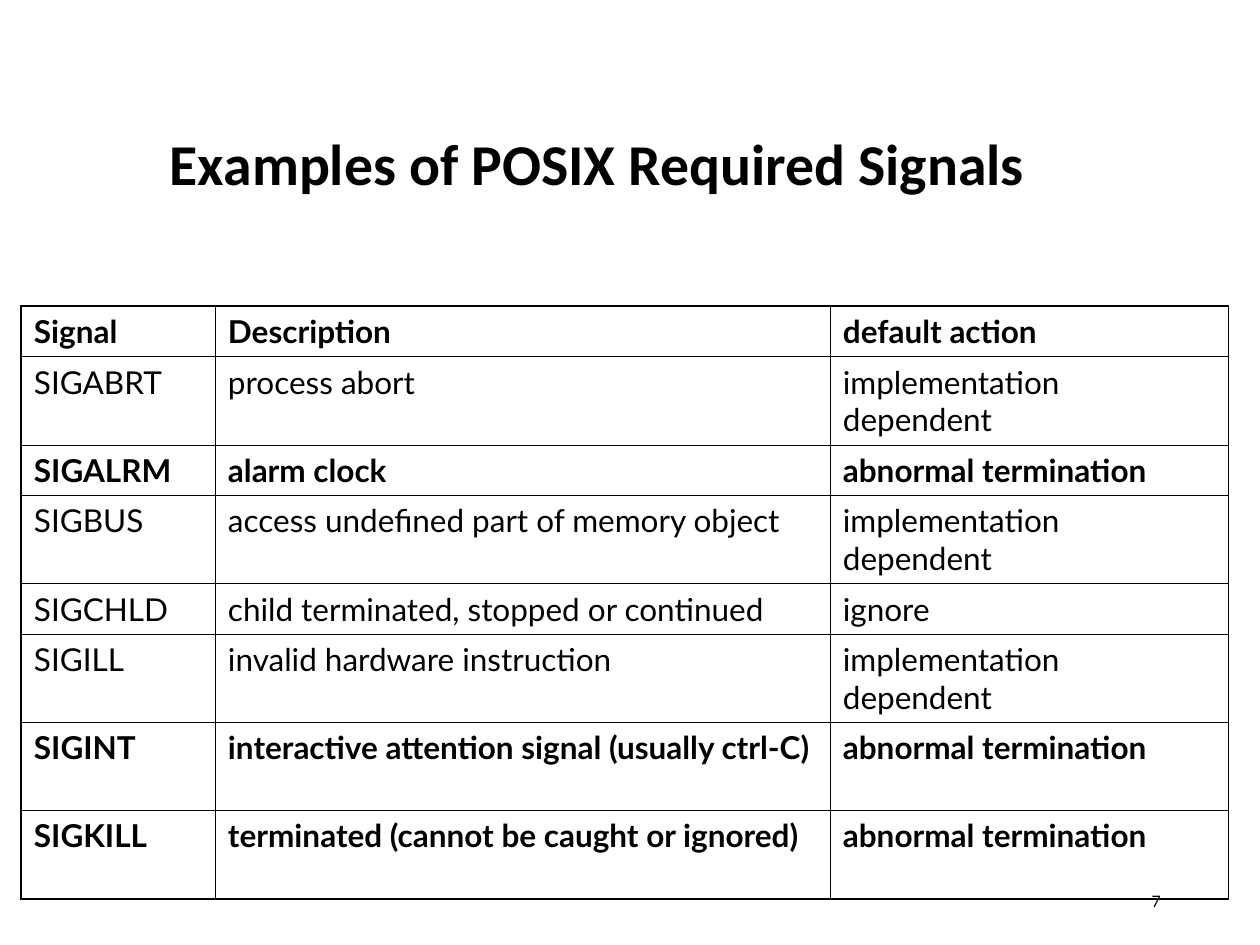
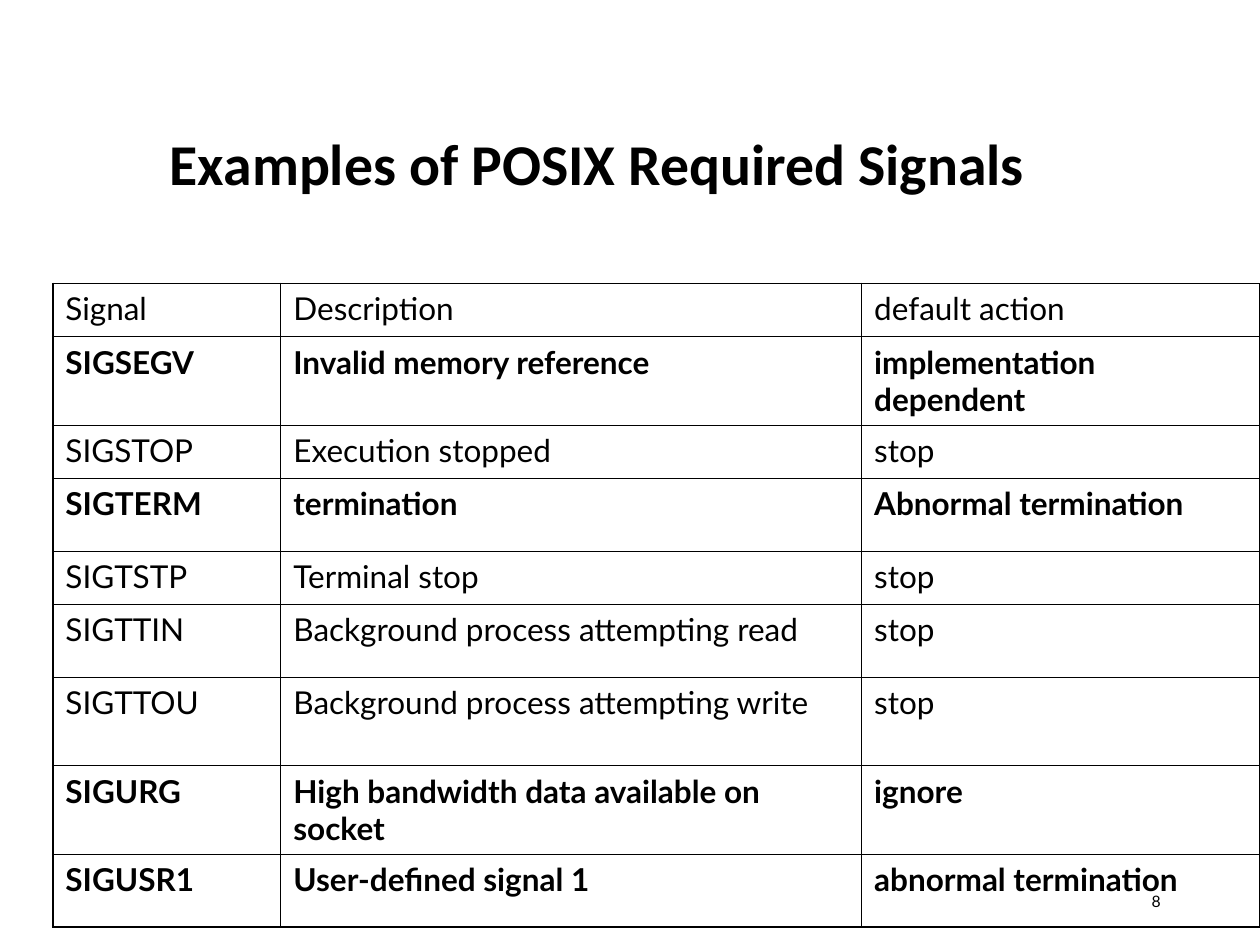
"""Build two slides that list examples of POSIX required signals."""
from lxml.etree import SubElement
from pptx import Presentation
from pptx.dml.color import RGBColor
from pptx.enum.text import MSO_ANCHOR, PP_ALIGN
from pptx.oxml.ns import qn
from pptx.util import Pt

COLORS = {"text": "000000", "border": "000000", "background": "FFFFFF"}
TITLE = "Examples of POSIX Required Signals"
HEADINGS = ("Signal", "Description", "default action")
OUTER_LINE, INNER_LINE = 1.08, 0.45

REQUIRED_SIGNALS = [
    (28.8, True, HEADINGS),
    (50.4, False, ("SIGABRT", "process abort", "implementation dependent")),
    (28.8, True, ("SIGALRM", "alarm clock", "abnormal termination")),
    (50.4, False, ("SIGBUS", "access undefined part of memory object", "implementation dependent")),
    (28.8, False, ("SIGCHLD", "child terminated, stopped or continued", "ignore")),
    (50.4, False, ("SIGILL", "invalid hardware instruction", "implementation dependent")),
    (50.4, True, ("SIGINT", "interactive attention signal (usually ctrl-C)", "abnormal termination")),
    (50.4, True, ("SIGKILL", "terminated (cannot be caught or ignored)", "abnormal termination")),
]
MORE_SIGNALS = [
    (30.4, False, HEADINGS),
    (50.4, True, ("SIGSEGV", "Invalid memory reference", "implementation dependent")),
    (30.4, False, ("SIGSTOP", "Execution stopped", "stop")),
    (41.8, True, ("SIGTERM", "termination", "Abnormal termination")),
    (30.4, False, ("SIGTSTP", "Terminal stop", "stop")),
    (41.8, False, ("SIGTTIN", "Background process attempting read", "stop")),
    (50.4, False, ("SIGTTOU", "Background process attempting write", "stop")),
    (50.4, True, ("SIGURG", "High bandwidth data available on socket", "ignore")),
    (41.8, True, ("SIGUSR1", "User-defined signal 1", "abnormal termination")),
]


class SignalDeck:
    """Hold the presentation, its style and the current slide."""

    def __init__(self):
        self.presentation = Presentation()
        self.presentation.slide_width = Pt(720)
        self.presentation.slide_height = Pt(540)
        self.slide = None

    def add_slide(self, number):
        """Start a slide with its title and page number."""
        self.slide = self.presentation.slides.add_slide(self.presentation.slide_layouts[6])
        fill = self.slide.background.fill
        fill.solid()
        fill.fore_color.rgb = RGBColor.from_string(COLORS["background"])
        title = self.add_text(TITLE, (90, 59.8, 629, 71.3), 33, "Calibri", True)
        title.line_spacing = 0.9
        return number

    def style(self, paragraph, size, font_name, bold):
        """Set the font of a whole paragraph."""
        font = paragraph.font
        font.size, font.name, font.bold = Pt(size), font_name, bold
        font.color.rgb = RGBColor.from_string(COLORS["text"])

    def add_text(self, text, box, size, font_name="Lato", bold=False):
        """Add a vertically centred text box and return its paragraph."""
        frame = self.slide.shapes.add_textbox(*map(Pt, box)).text_frame
        frame.word_wrap = True
        frame.vertical_anchor = MSO_ANCHOR.MIDDLE
        paragraph = frame.paragraphs[0]
        paragraph.text = text
        self.style(paragraph, size, font_name, bold)
        return paragraph

    def add_page_number(self, number):
        """Add the page number at the lower right."""
        self.add_text(str(number), (508.3, 500.4, 162, 28.8), 9).alignment = PP_ALIGN.RIGHT

    def add_border(self, cell, side, width):
        """Draw one border of a table cell."""
        properties = cell._tc.get_or_add_tcPr()
        line = SubElement(properties, qn(f"a:ln{side}"), w=str(Pt(width)))
        fill = SubElement(line, qn("a:solidFill"))
        SubElement(fill, qn("a:srgbClr"), val=COLORS["border"])

    def add_table(self, left, top, column_widths, rows):
        """Add a ruled table from rows of height, boldness and texts."""
        height = sum(row[0] for row in rows)
        table = self.slide.shapes.add_table(
            len(rows), len(column_widths),
            Pt(left), Pt(top), Pt(sum(column_widths)), Pt(height)).table
        table.first_row = table.horz_banding = False
        for column, width in zip(table.columns, column_widths):
            column.width = Pt(width)
        last_row, last_column = len(rows) - 1, len(column_widths) - 1
        for row_index, (row_height, bold, texts) in enumerate(rows):
            table.rows[row_index].height = Pt(row_height)
            for column_index, text in enumerate(texts):
                cell = table.cell(row_index, column_index)
                outer_sides = {
                    "L": column_index == 0, "R": column_index == last_column,
                    "T": row_index == 0, "B": row_index == last_row}
                for side, is_outer in outer_sides.items():
                    self.add_border(cell, side, OUTER_LINE if is_outer else INNER_LINE)
                cell.fill.background()
                paragraph = cell.text_frame.paragraphs[0]
                paragraph.text = text
                paragraph.space_before = Pt(4.5)
                self.style(paragraph, 18, "Lato", bold)


def main():
    """Build and save the presentation."""
    deck = SignalDeck()
    tables = [
        (12.2, 175, (110.9, 351.4, 227.5), REQUIRED_SIGNALS),
        (30.2, 162, (130.3, 331.9, 227.5), MORE_SIGNALS),
    ]
    for number, table in enumerate(tables, start=7):
        deck.add_slide(number)
        deck.add_table(*table)
        deck.add_page_number(number)
    deck.presentation.save("out.pptx")


if __name__ == "__main__":
    main()
